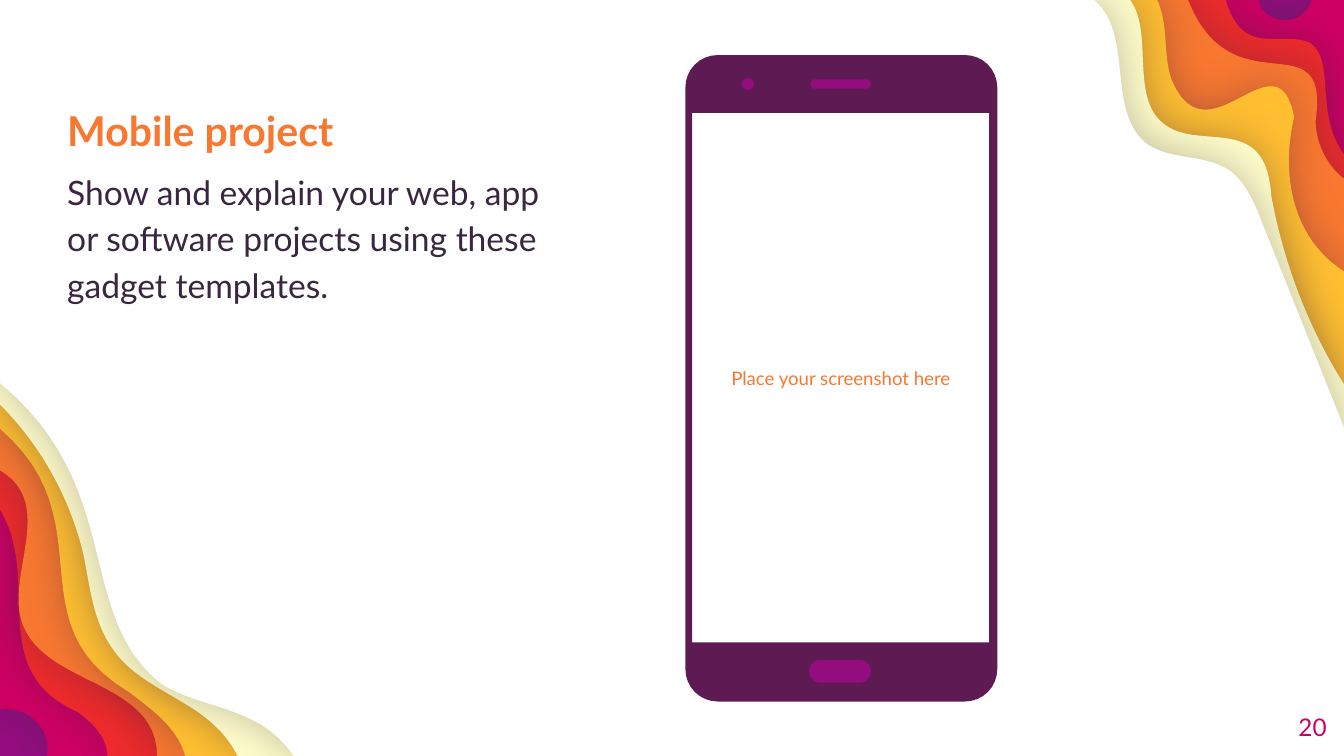
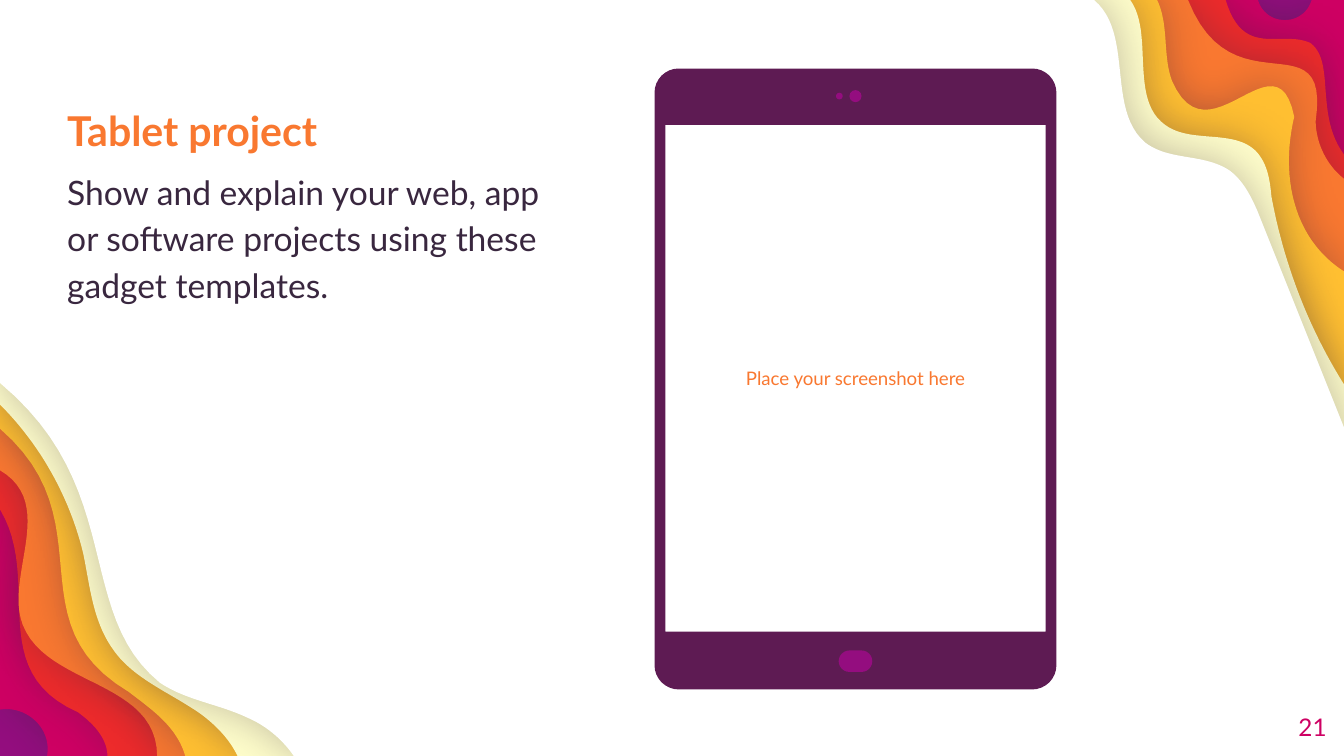
from math import cos, sin, pi
from lxml.etree import SubElement
from pptx import Presentation
from pptx.dml.color import RGBColor
from pptx.enum.shapes import MSO_SHAPE
from pptx.enum.text import MSO_ANCHOR, MSO_AUTO_SIZE, PP_ALIGN
from pptx.oxml.ns import qn
from pptx.util import Pt

PX = 9144  # 100 px to the inch
WIDE, HIGH = 1000, 563
ORANGE, PINK, PURPLE, PLUM, INK = "F97830", "CE0063", "940D7F", "5E1B53", "39273F"


def paint(shape, color):
    shape.shadow.inherit = False
    shape.fill.solid()
    shape.fill.fore_color.rgb = RGBColor.from_string(color)
    shape.line.fill.background()


def style(para, size, color, bold=False, align=PP_ALIGN.LEFT):
    para.alignment = align
    font = para.font
    font.name, font.size, font.bold = "Lato", Pt(size), bold
    font.color.rgb = RGBColor.from_string(color)


# Each band: fill, edge from right side to top, edge from left side to bottom.
# Two numbers are a point, six are a Bezier curve.
bands = [
    (PINK,
     [(1000, 0), (976, 0), (970, 20, 942, 20, 936, 0)],
     [(0, 528), (20, 525, 39, 542, 35, HIGH)]),
    ("ED2B2B",
     [(1000, 115), (978, 85, 994, 46, 975, 32), (953, 22, 925, 44, 912, 0)],
     [(0, 379), (32, 432, -12, 499, 58, 530), (69, 538, 80, 549, 80, HIGH)]),
    (ORANGE,
     [(1000, 133), (987, 123, 979, 106, 979, 90), (990, 12, 917, 84, 884, 0)],
     [(0, 350), (43, 375, 3, 429, 17, 465), (35, 511, 117, 506, 117, HIGH)]),
    ("FFBF31",
     [(1000, 202), (961, 177, 953, 129, 963, 87), (950, 22, 899, 123, 872, 60),
      (865, 41, 870, 19, 861, 0)],
     [(0, 319), (80, 388, 9, 463, 96, 515), (113, 528, 132, 541, 138, HIGH)]),
    ("FEFDCA",
     [(1000, 286), (973, 243, 955, 195, 946, 146), (945, 134, 943, 121, 934, 112),
      (917, 96, 886, 107, 867, 93), (840, 74, 859, 25, 841, 0)],
     [(0, 301), (30, 331, 52, 370, 62, 412), (67, 436, 69, 462, 84, 483),
      (99, 505, 126, 515, 149, 531), (160, 539, 171, 550, 177, HIGH)]),
    ("FFFFFF",
     [(1000, 318), (938, 163), (933, 150, 926, 135, 915, 127),
      (896, 114, 870, 120, 852, 106), (823, 81, 844, 25, 814, 0)],
     [(0, 285), (94, 363, 55, 456, 119, 508), (138, 521, 163, 524, 184, 534),
      (198, 540, 210, 550, 219, HIGH)]),
]

# Page, heading, frame box, corner radius, screen box, buttons
pages = [
    (20, "Mobile project", (510, 41, 232, 481), 24, (515, 84, 221, 394),
     [(602, 491, 46, 17), (552, 58, 9, 9), (603, 59, 45, 7)]),
    (21, "Tablet project", (487, 51, 299, 462), 18, (495, 93, 283, 377),
     [(624, 484, 25, 16), (622, 69, 5, 5), (632, 67, 9, 9)]),
]

deck = Presentation()
deck.slide_width = WIDE * PX
deck.slide_height = deck.slide_width * 9 // 16
layout = deck.slide_layouts[1]
slides = [deck.slides.add_slide(layout) for page in pages]

# Shared background: drawn once, then moved to the layout
layout.background.fill.solid()
layout.background.fill.fore_color.rgb = RGBColor.from_string(PURPLE)
for num, (color, right, left) in enumerate(bands):
    dots = []
    for step in right + [(0, 0)] + left + [(WIDE, HIGH)]:
        if len(step) == 2:
            dots.append(step)
            continue
        start, ends = dots[-1], (step[:2], step[2:4], step[4:])
        for i in range(1, 25):
            t = i / 24
            mix = ((1 - t) ** 3, 3 * t * (1 - t) ** 2, 3 * t * t * (1 - t), t ** 3)
            dots.append(tuple(sum(m * p[k] for m, p in zip(mix, (start, *ends)))
                              for k in (0, 1)))
    dots = [(x * PX, y * PX) for x, y in dots]
    pen = slides[0].shapes.build_freeform(*dots[0])
    pen.add_line_segments(dots[1:])
    band = pen.convert_to_shape()
    paint(band, color)
    glow = SubElement(band.element.spPr.find(qn("a:effectLst")), qn("a:outerShdw"),
                      blurRad=str(Pt(22.5)), dist=str(Pt(0.8)), dir="0",
                      algn="bl", rotWithShape="0")
    tint = SubElement(glow, qn("a:srgbClr"), val=INK)
    SubElement(tint, qn("a:alpha"), val="30000")
    band.element.nvSpPr.cNvPr.set("id", str(20 + num))
    layout.shapes.element.insert(2 + num, band.element)

for slide, (page, head, frame, bend, screen, knobs) in zip(slides, pages):
    # Heading and text
    title = slide.shapes.title.element
    title.getparent().remove(title)
    body = slide.placeholders[1]
    body.left, body.top, body.width, body.height = [n * PX for n in (50, 73, 377, 178)]
    text = body.text_frame
    text.margin_left = text.margin_top = text.margin_right = text.margin_bottom = 0
    text.auto_size, text.vertical_anchor = MSO_AUTO_SIZE.NONE, MSO_ANCHOR.TOP
    text.text = head + ("\nShow and explain your web, app or software projects "
                        "using these gadget templates.")
    style(text.paragraphs[0], 22, ORANGE, True)
    style(text.paragraphs[1], 18, INK)
    for para in text.paragraphs:
        para.line_spacing, para.space_before = 1.15, Pt(6)
        props = para._p.get_or_add_pPr()
        props.set("marL", "0")
        props.set("indent", "0")
        props.insert_element_before(props.makeelement(qn("a:buNone")),
                                    "a:tabLst", "a:defRPr", "a:extLst")

    # Screen label and page number
    for box, words, size, color, align, pad in [
            (screen, "Place your screenshot here", 10, ORANGE, PP_ALIGN.CENTER, 10),
            ((927, 519, 60, 43), str(page), 13, PINK, PP_ALIGN.RIGHT, 0)]:
        text = slide.shapes.add_textbox(*[n * PX for n in box]).text_frame
        text.word_wrap, text.vertical_anchor = True, MSO_ANCHOR.MIDDLE
        text.margin_left = text.margin_top = pad * PX
        text.margin_right = text.margin_bottom = pad * PX
        text.text = words
        style(text.paragraphs[0], size, color, align=align)

    # Device frame: rounded outline with the screen cut out
    parts = slide.shapes.add_group_shape().shapes
    x, y, w, h = frame
    hubs = [(x + w - bend, y + h - bend), (x + bend, y + h - bend),
            (x + bend, y + bend), (x + w - bend, y + bend)]
    rim = []
    for turn, (cx, cy) in enumerate(hubs):
        for i in range(9):
            angle = (turn + i / 8) * pi / 2
            rim.append(((cx + bend * cos(angle)) * PX, (cy + bend * sin(angle)) * PX))
    pen = parts.build_freeform(*rim[0])
    pen.add_line_segments(rim[1:])
    x, y, w, h = [n * PX for n in screen]
    pen.move_to(x, y)
    pen.add_line_segments([(x, y + h), (x + w, y + h), (x + w, y)])
    paint(pen.convert_to_shape(), PLUM)

    # Buttons, camera and speaker
    for x, y, w, h in knobs:
        kind = MSO_SHAPE.OVAL if w == h else MSO_SHAPE.ROUNDED_RECTANGLE
        knob = parts.add_shape(kind, x * PX, y * PX, w * PX, h * PX)
        if w != h:
            knob.adjustments[0] = 0.5
        paint(knob, PURPLE)

deck.save("out.pptx")
